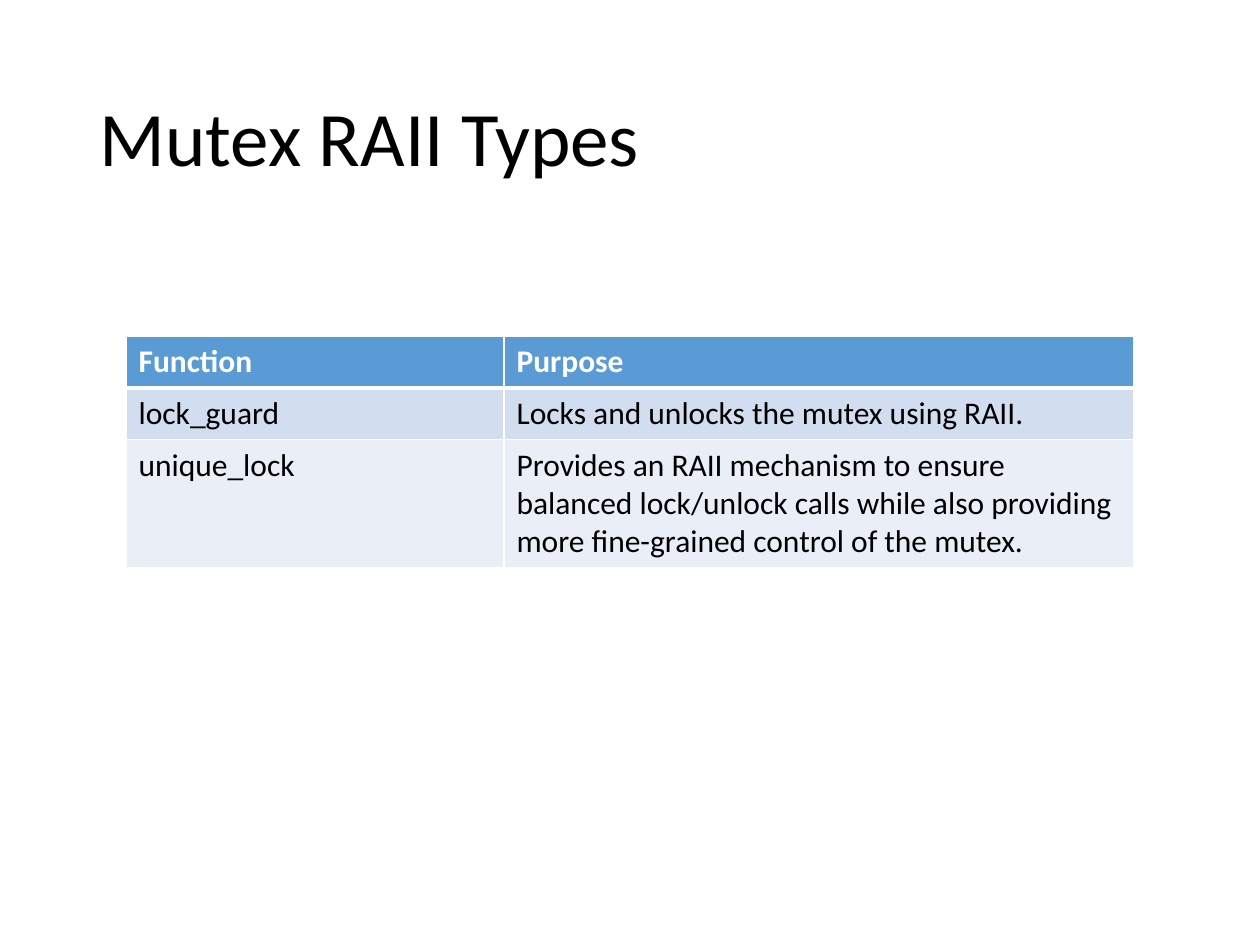
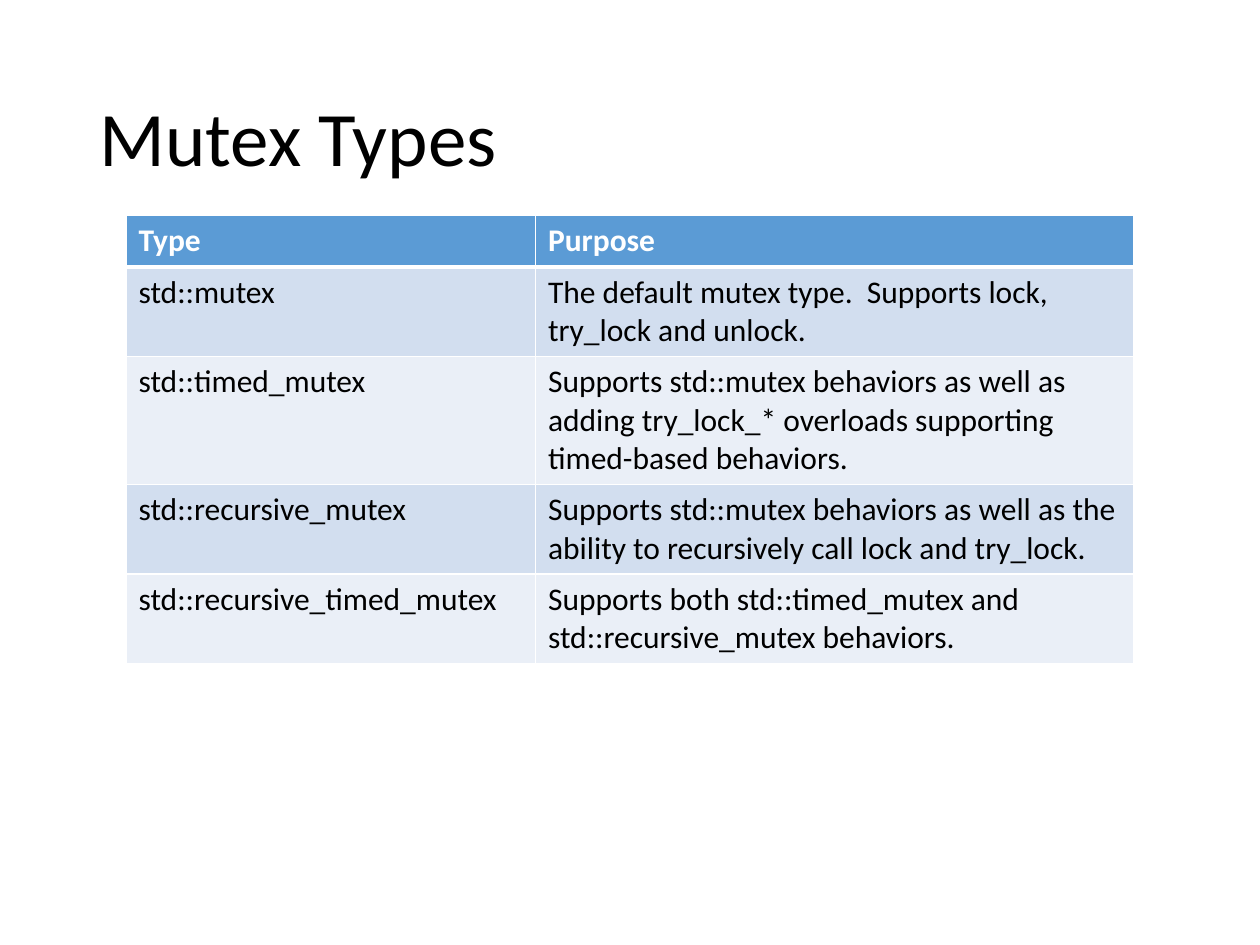
from lxml import etree
from pptx import Presentation
from pptx.dml.color import RGBColor
from pptx.enum.text import MSO_ANCHOR, PP_ALIGN
from pptx.oxml.ns import qn
from pptx.util import Inches, Pt

LEFT = PP_ALIGN.LEFT
MIDDLE = MSO_ANCHOR.MIDDLE
TITLE_ONLY = 5

FONT = "Calibri"
COLORS = {
    "text": "000000",
    "header_text": "FFFFFF",
    "border": "FFFFFF",
    "header": "5B9BD5",
    "odd_row": "D2DEEF",
    "even_row": "EAEFF7",
}
TITLE_BOX = (0.69, 0.4, 8.62, 1.45)
TABLE_LEFT = 1
ROW_HEIGHT = 0.41
THIN, THICK = 1, 3

RAII_TYPES = [
    ("Function", "Purpose"),
    ("lock_guard", "Locks and unlocks the mutex using RAII."),
    ("unique_lock",
     "Provides an RAII mechanism to ensure balanced lock/unlock calls while "
     "also providing more fine-grained control of the mutex."),
]
MUTEX_TYPES = [
    ("Type", "Purpose"),
    ("std::mutex",
     "The default mutex type.  Supports lock, try_lock and unlock."),
    ("std::timed_mutex",
     "Supports std::mutex behaviors as well as adding try_lock_* overloads "
     "supporting timed-based behaviors."),
    ("std::recursive_mutex",
     "Supports std::mutex behaviors as well as the ability to recursively "
     "call lock and try_lock."),
    ("std::recursive_timed_mutex",
     "Supports both std::timed_mutex and std::recursive_mutex behaviors."),
]


def color(name):
    return RGBColor.from_string(COLORS[name])


def set_font(paragraph, size, color_name, bold=False):
    font = paragraph.font
    font.name, font.size, font.bold = FONT, Pt(size), bold
    font.color.rgb = color(color_name)


def set_title(slide, wording):
    title = slide.shapes.title
    title.left, title.top, title.width, title.height = map(Inches, TITLE_BOX)
    frame = title.text_frame
    frame.text = wording
    frame.vertical_anchor = MIDDLE
    paragraph = frame.paragraphs[0]
    paragraph.alignment = LEFT
    paragraph.line_spacing = 0.9
    set_font(paragraph, 44, "text")


def set_borders(cell, top, bottom):
    """Draw the four cell borders; must run before the cell fill is set."""
    properties = cell._tc.get_or_add_tcPr()
    for side, width in (("L", THIN), ("R", THIN), ("T", top), ("B", bottom)):
        line = etree.SubElement(properties, qn(f"a:ln{side}"), w=str(Pt(width)))
        fill = etree.SubElement(line, qn("a:solidFill"))
        etree.SubElement(fill, qn("a:srgbClr"), val=COLORS["border"])


def format_cell(cell, wording, row):
    is_header = row == 0
    set_borders(cell,
                top=THICK if row == 1 else THIN,
                bottom=THICK if is_header else THIN)
    band = "header" if is_header else "odd_row" if row % 2 else "even_row"
    cell.fill.solid()
    cell.fill.fore_color.rgb = color(band)
    cell.text = wording
    set_font(cell.text_frame.paragraphs[0], 18,
             "header_text" if is_header else "text", bold=is_header)


def add_type_table(slide, top, column_widths, entries):
    table = slide.shapes.add_table(
        len(entries), len(column_widths), Inches(TABLE_LEFT), Inches(top),
        Inches(sum(column_widths)), Inches(ROW_HEIGHT * len(entries))).table
    for column, width in zip(table.columns, column_widths):
        column.width = Inches(width)
    for row, entry in enumerate(entries):
        table.rows[row].height = Inches(ROW_HEIGHT)
        for column, wording in enumerate(entry):
            format_cell(table.cell(row, column), wording, row)


def add_type_slide(deck, title, table_top, column_widths, entries):
    slide = deck.slides.add_slide(deck.slide_layouts[TITLE_ONLY])
    set_title(slide, title)
    add_type_table(slide, table_top, column_widths, entries)


def main():
    deck = Presentation()
    deck.slide_width, deck.slide_height = Inches(10), Inches(7.5)
    add_type_slide(deck, "Mutex RAII Types", 2.67, (3, 5), RAII_TYPES)
    add_type_slide(deck, "Mutex Types", 1.71, (3.25, 4.75), MUTEX_TYPES)
    deck.save("out.pptx")


if __name__ == "__main__":
    main()
